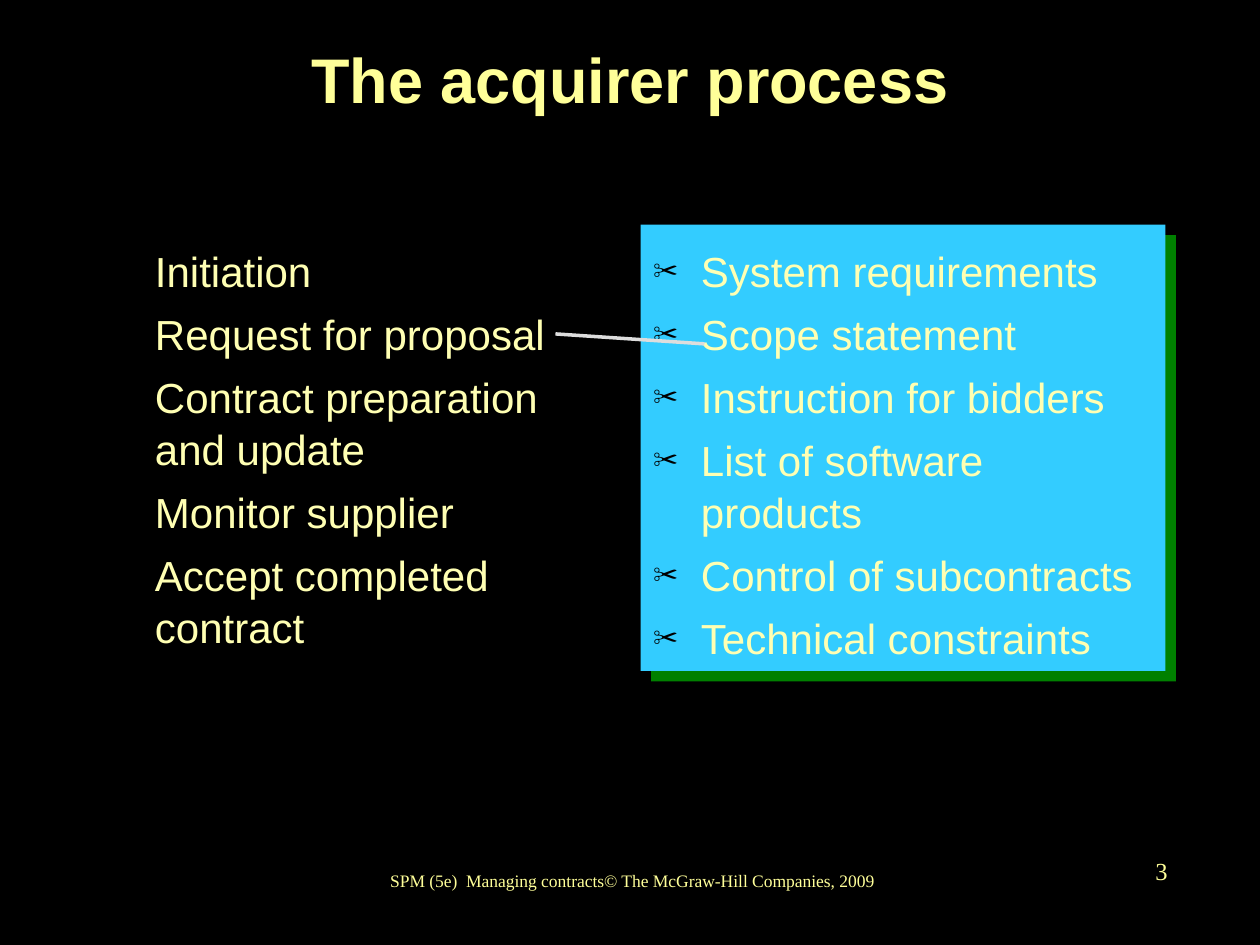
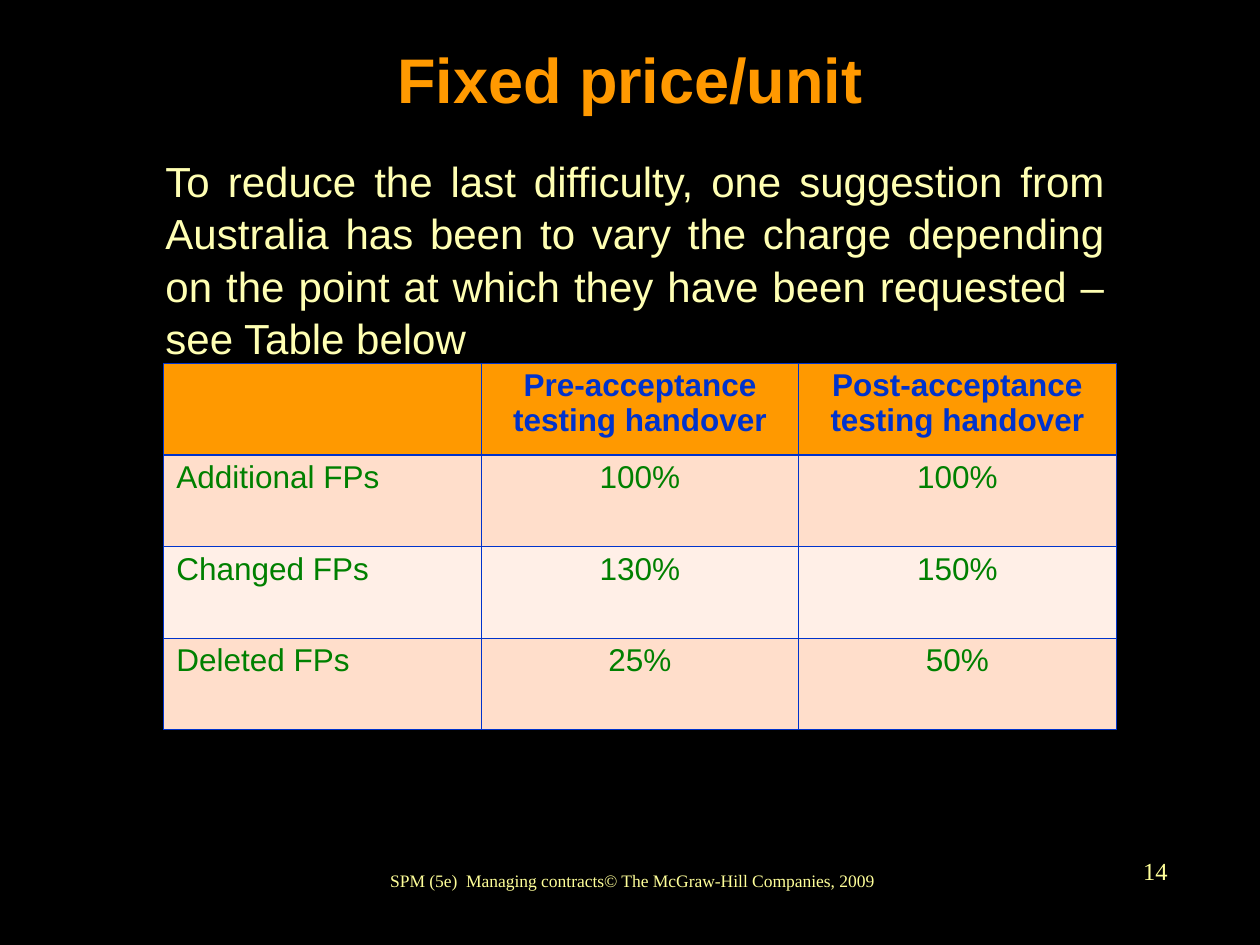
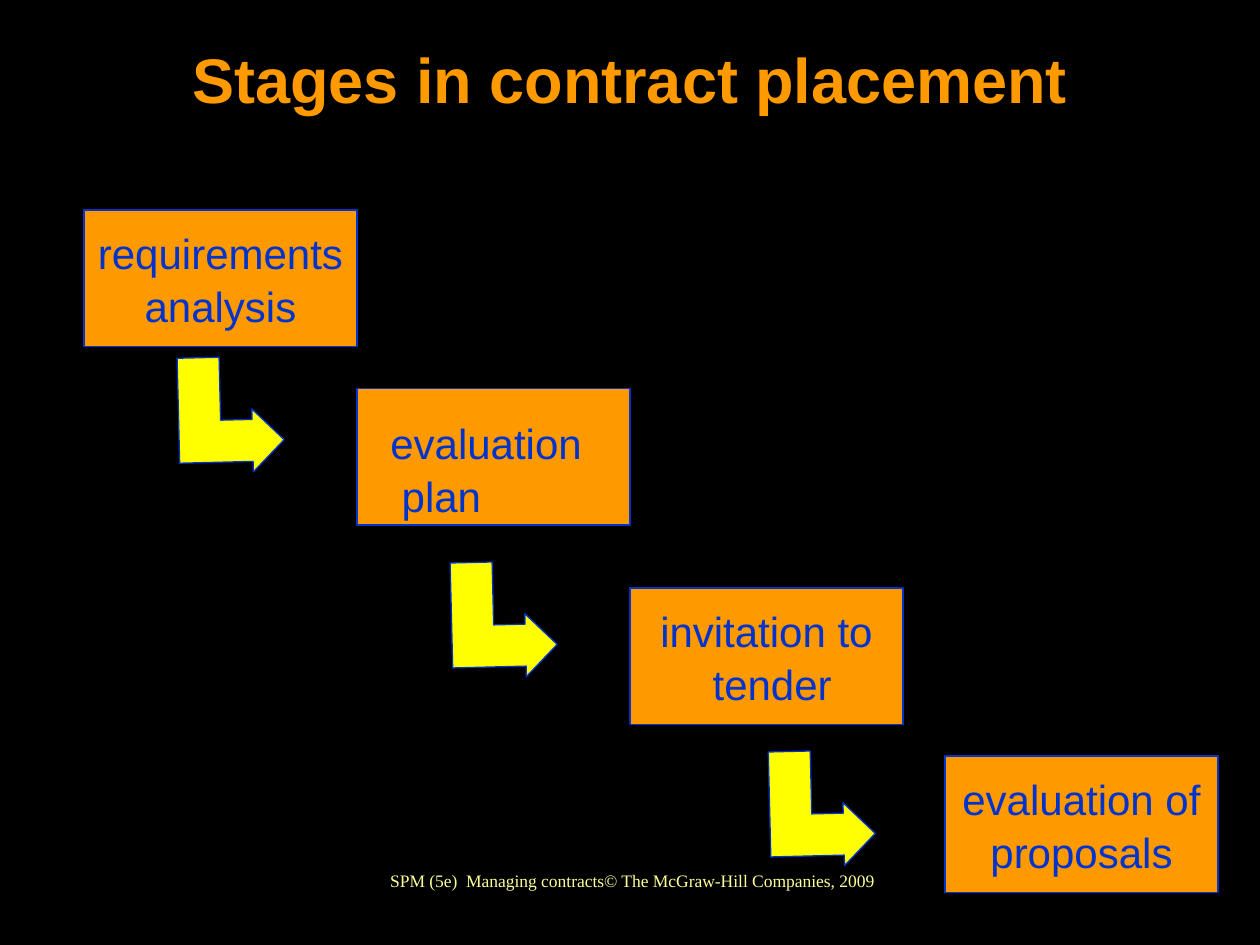
"""Build three slides on managing contracts."""
from dataclasses import dataclass

from lxml import etree
from pptx import Presentation
from pptx.dml.color import RGBColor
from pptx.enum.shapes import MSO_CONNECTOR, MSO_SHAPE
from pptx.enum.text import MSO_ANCHOR, MSO_AUTO_SIZE, PP_ALIGN
from pptx.oxml.ns import qn
from pptx.util import Emu, Inches, Pt

LEFT, CENTER, RIGHT, JUSTIFY = PP_ALIGN.LEFT, PP_ALIGN.CENTER, PP_ALIGN.RIGHT, PP_ALIGN.JUSTIFY
TOP, MIDDLE = MSO_ANCHOR.TOP, MSO_ANCHOR.MIDDLE
NO_FIT = MSO_AUTO_SIZE.NONE
RECT, STRAIGHT = MSO_SHAPE.RECTANGLE, MSO_CONNECTOR.STRAIGHT

WIDTH, HEIGHT = Inches(10), Inches(7.5)
COLUMNS, ROWS = 120, 90
TITLE_ONLY, ONE_LIST, TWO_LISTS = 5, 1, 3
FOOTER = "SPM (5e)  Managing contracts© The McGraw-Hill Companies, 2009"
BENT_ARROW = [(0, 0), (3.5, 0), (3.5, 6.3), (7, 6.3), (7, 4.8),
              (10.5, 7.9), (7, 11), (7, 9.5), (0, 9.5)]


@dataclass(frozen=True)
class Theme:
    """Colours, fonts and type sizes."""
    background: str = "000000"
    pale: str = "FFFF99"
    body: str = "FFFFB3"
    orange: str = "FF9900"
    blue: str = "0033CC"
    green: str = "008000"
    sky: str = "33CCFF"
    yellow: str = "FFFF00"
    grey: str = "DDDDDD"
    bands: tuple = ("FFDECB", "FFEFE7")
    sans: str = "Arial"
    serif: str = "Times New Roman"
    title_size: int = 36
    body_size: int = 24
    table_size: int = 18
    number_size: int = 14
    footer_size: int = 10
    body_leading: float = 1.04
    table_leading: float = 0.97


def rgb(value):
    """Turn a hex string into a colour."""
    return RGBColor.from_string(value)


def add_xml(parent, tag, **attributes):
    """Append a drawing element and return it."""
    return etree.SubElement(parent, qn(tag), attributes)


class Deck:
    """Holds the presentation, its theme and the current slide."""

    def __init__(self, theme):
        """Start a presentation with the shared background."""
        self.theme = theme
        self.prs = Presentation()
        self.prs.slide_width, self.prs.slide_height = WIDTH, HEIGHT
        fill = self.prs.slide_master.background.fill
        fill.solid()
        fill.fore_color.rgb = rgb(theme.background)

    def grid(self, *lengths):
        """Convert alternating columns and rows to lengths."""
        units = (WIDTH / COLUMNS, HEIGHT / ROWS)
        return [Emu(round(n * units[i % 2])) for i, n in enumerate(lengths)]

    def place(self, sp, at):
        """Move a placeholder to a grid box."""
        sp.left, sp.top, sp.width, sp.height = self.grid(*at)

    def style(self, p, size, color, font=None, bold=False, align=LEFT, leading=1.0, before=0):
        """Format one paragraph."""
        p.alignment, p.line_spacing = align, leading
        p.space_before, p.space_after = Pt(before), Pt(0)
        f = p.font
        f.name, f.size, f.bold = font or self.theme.sans, Pt(size), bold
        f.color.rgb = rgb(color)

    def fill_text(self, tf, lines, size, color, anchor=TOP, wrap=True, before=0, bullet=None,
                  margin=0, **look):
        """Fill a text frame, one paragraph per line."""
        tf.auto_size, tf.word_wrap, tf.vertical_anchor = NO_FIT, wrap, anchor
        for i, text in enumerate(lines):
            p = tf.paragraphs[0] if i == 0 else tf.add_paragraph()
            p.text = text
            if margin:
                self.indent(p, margin, bullet)
            self.style(p, size, color, before=before if i else 0, **look)

    def indent(self, p, margin, bullet=None):
        """Set a left margin, with a hanging bullet if one is given."""
        pPr = p._p.get_or_add_pPr()
        pPr.set("marL", str(Inches(margin)))
        pPr.set("indent", str(-Inches(margin) if bullet else 0))
        if bullet:
            add_xml(add_xml(pPr, "a:buClr"), "a:srgbClr", val=self.theme.background)
            add_xml(pPr, "a:buSzPct", val="60000")
            add_xml(pPr, "a:buChar", char=bullet)
        else:
            add_xml(pPr, "a:buNone")

    def slide(self, layout, title, color, number=None):
        """Add a slide with its title, footer and page number."""
        t = self.theme
        self.s = self.prs.slides.add_slide(self.prs.slide_layouts[layout])
        self.place(self.s.shapes.title, (9, 0, 102, 15))
        self.fill_text(self.s.shapes.title.text_frame, [title], t.title_size, color,
                       anchor=MIDDLE, bold=True, align=CENTER)
        self.text((41.2, 80.9, 38, 6), [FOOTER], t.footer_size, t.pale,
                  anchor=MIDDLE, wrap=False, font=t.serif, align=CENTER)
        if number:
            self.text((87.4, 79.9, 25, 6), [number], t.number_size, t.pale,
                      anchor=MIDDLE, wrap=False, font=t.serif, align=RIGHT)

    def text(self, at, lines, size, color, **look):
        """Add a text box."""
        sp = self.s.shapes.add_textbox(*self.grid(*at))
        self.fill_text(sp.text_frame, lines, size, color, **look)
        return sp

    def body(self, index, at, lines, **look):
        """Fill a body placeholder with a list."""
        sp = self.s.placeholders[index]
        self.place(sp, at)
        self.fill_text(sp.text_frame, lines, self.theme.body_size, self.theme.body,
                       before=6, margin=0.38, leading=self.theme.body_leading, **look)

    def paint(self, sp, fill, line=None):
        """Give a shape its fill and outline and no inherited shadow."""
        sp.shadow.inherit = False
        sp.fill.solid()
        sp.fill.fore_color.rgb = rgb(fill)
        if line:
            sp.line.color.rgb = rgb(line)
            sp.line.width = Pt(0.75)
        else:
            sp.line.fill.background()

    def panel(self, at):
        """Add a shadowed panel behind everything else."""
        sp = self.s.shapes.add_shape(RECT, *self.grid(*at))
        self.paint(sp, self.theme.sky)
        effects = sp._element.spPr.find(qn("a:effectLst"))
        shadow = add_xml(effects, "a:outerShdw", dist=str(Pt(8.5)), dir="2700000",
                         algn="ctr", rotWithShape="0")
        add_xml(shadow, "a:srgbClr", val=self.theme.green)
        self.s.shapes._spTree.insert(2, sp._element)

    def stage(self, column, row, lines=()):
        """Add a stage box with centred lines."""
        t = self.theme
        sp = self.s.shapes.add_shape(RECT, *self.grid(column, row, 26, 13))
        self.paint(sp, t.orange, t.blue)
        self.fill_text(sp.text_frame, lines, t.body_size, t.blue, anchor=MIDDLE, wrap=False,
                       align=CENTER, leading=t.body_leading)
        return sp

    def bent_arrow(self, column, row):
        """Add a slightly tilted arrow that goes down and then right."""
        fb = self.s.shapes.build_freeform(*BENT_ARROW[0], scale=WIDTH / COLUMNS)
        fb.add_line_segments(BENT_ARROW[1:], close=True)
        sp = fb.convert_to_shape(*self.grid(column, row))
        sp.rotation = 358.6
        self.paint(sp, self.theme.yellow, self.theme.blue)

    def line(self, *ends):
        """Add a straight line between two grid points."""
        c = self.s.shapes.add_connector(STRAIGHT, *self.grid(*ends))
        c.line.color.rgb, c.line.width = rgb(self.theme.grey), Pt(2)
        add_xml(c._element.spPr, "a:effectLst")

    def table(self, at, rows):
        """Add a table with a bold header row and banded rows."""
        t = self.theme
        table = self.s.shapes.add_table(len(rows), len(rows[0]), *self.grid(*at)).table
        for r, row in enumerate(rows):
            for c, value in enumerate(row):
                cell = table.cell(r, c)
                cell.fill.solid()
                cell.fill.fore_color.rgb = rgb(t.bands[(r - 1) % 2] if r else t.orange)
                self.borders(cell, top=1.47 if r == 1 else 0.45, bottom=0.45 if r else 1.47)
                p = cell.text_frame.paragraphs[0]
                p.text = value
                self.style(p, t.table_size, t.green if r else t.blue, bold=r == 0,
                           align=CENTER if c else LEFT, leading=t.table_leading)

    def borders(self, cell, top, bottom):
        """Draw the four borders of a cell."""
        tcPr = cell._tc.get_or_add_tcPr()
        sides = {"a:lnL": 0.45, "a:lnR": 0.45, "a:lnT": top, "a:lnB": bottom}
        for i, (tag, width) in enumerate(sides.items()):
            ln = add_xml(tcPr, tag, w=str(Pt(width)))
            add_xml(add_xml(ln, "a:solidFill"), "a:srgbClr", val=self.theme.blue)
            tcPr.insert(i, ln)


def acquirer_process(deck):
    """Build the slide on the acquirer process."""
    deck.slide(TWO_LISTS, "The acquirer process", deck.theme.pale, "3")
    deck.panel((61, 21.4, 50, 42.5))
    deck.body(1, (9, 22.6, 50, 58), [
        "Initiation", "Request for proposal", "Contract preparation and update",
        "Monitor supplier", "Accept completed contract"])
    deck.body(2, (61, 22.6, 50, 45.3), [
        "System requirements", "Scope statement", "Instruction for bidders",
        "List of software products", "Control of subcontracts",
        "Technical constraints"], bullet="✂")
    deck.line(52.9, 31.8, 67.1, 32.75)


def fixed_price(deck):
    """Build the slide on fixed price per unit."""
    deck.slide(ONE_LIST, "Fixed price/unit", deck.theme.orange, "14")
    deck.body(1, (10, 14, 96.4, 63.4), [
        "To reduce the last difficulty, one suggestion from Australia has been to vary "
        "the charge depending on the point at which they have been requested – "
        "see Table below"], align=JUSTIFY)
    deck.table((15.6, 34.6, 90.7, 34.9), [
        ("", "Pre-acceptance testing handover", "Post-acceptance testing handover"),
        ("Additional FPs", "100%", "100%"),
        ("Changed FPs", "130%", "150%"),
        ("Deleted FPs", "25%", "50%")])


def contract_placement(deck):
    """Build the slide on the stages in contract placement."""
    t = deck.theme
    deck.slide(TITLE_ONLY, "Stages in contract placement", t.orange)
    deck.stage(8, 20, ["requirements", "analysis"])
    deck.stage(34, 37)
    tender = deck.stage(60, 56, ["invitation to", "tender"])
    deck.stage(90, 72, ["evaluation of", "proposals"])
    plan = deck.text((36, 39, 20.6, 10.8), ["evaluation", "plan"], t.body_size, t.blue,
                     wrap=False, leading=t.body_leading)
    for sp in (tender, plan):
        p = sp.text_frame.paragraphs[1]
        p._p.get_or_add_pPr().set("marL", str(Inches(0.09)))
    for column, row in ((17, 34), (43, 53.5), (73.3, 71.5)):
        deck.bent_arrow(column, row)


def main():
    """Build the slides and save them."""
    deck = Deck(Theme())
    acquirer_process(deck)
    fixed_price(deck)
    contract_placement(deck)
    deck.prs.save("out.pptx")


if __name__ == "__main__":
    main()
